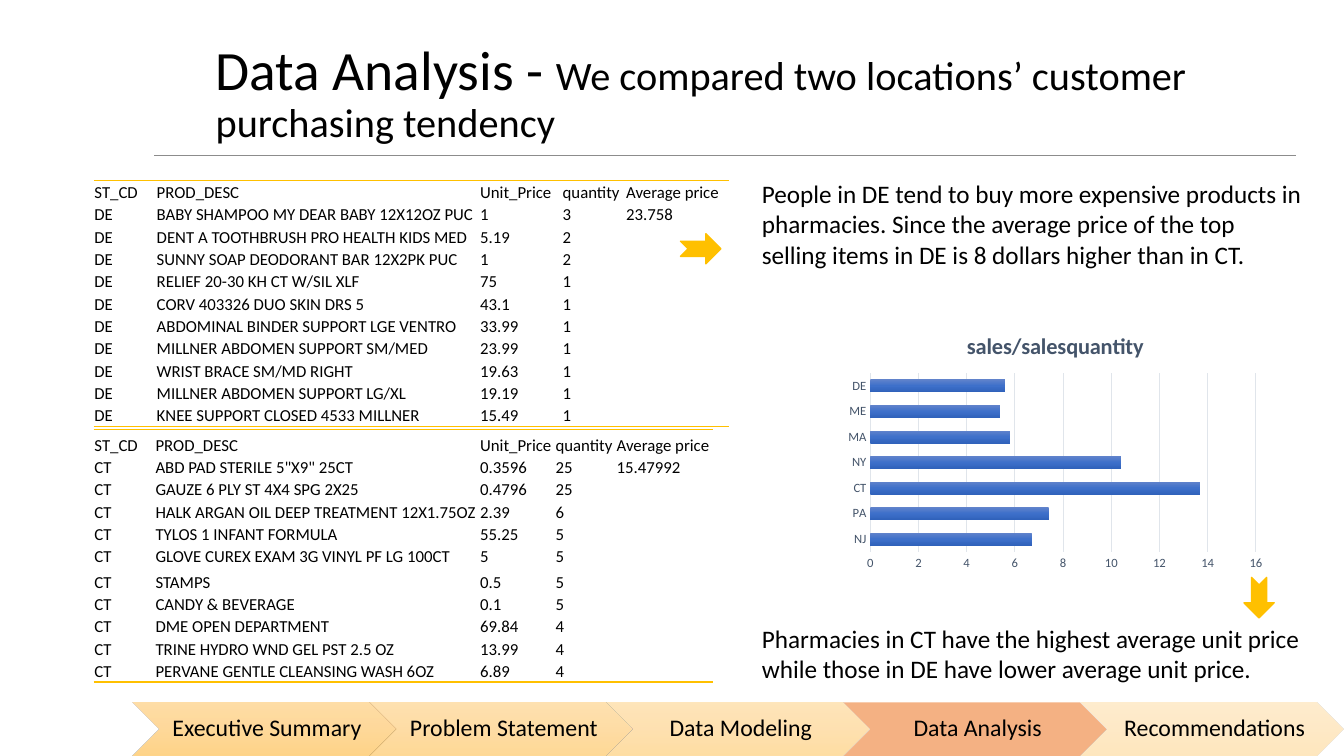
from lxml.etree import SubElement
from pptx import Presentation
from pptx.chart.data import CategoryChartData
from pptx.dml.color import RGBColor
from pptx.enum.chart import XL_CHART_TYPE as ChartType, XL_TICK_MARK as Tick
from pptx.enum.shapes import MSO_CONNECTOR as Connector, MSO_SHAPE as Preset
from pptx.enum.text import MSO_ANCHOR as Anchor, MSO_AUTO_SIZE as AutoSize, PP_ALIGN as Align
from pptx.oxml import parse_xml
from pptx.oxml.ns import nsdecls, qn
from pptx.util import Cm, Pt

FONT = "Calibri"
BLACK = RGBColor(0x00, 0x00, 0x00)
GOLD = RGBColor(0xFF, 0xC0, 0x00)
GREY = RGBColor(0x8C, 0x8C, 0x8C)
SLATE = RGBColor(0x44, 0x54, 0x6A)
PALE = RGBColor(0xE0, 0xE5, 0xEB)
SALMON = RGBColor(0xF4, 0xB1, 0x83)
BLUES = [RGBColor(0x61, 0x83, 0xCB), RGBColor(0x3E, 0x70, 0xCA), RGBColor(0x30, 0x62, 0xBB)]
YELLOWS = [RGBColor(0xFF, 0xDB, 0x9E), RGBColor(0xFF, 0xD5, 0x90), RGBColor(0xFF, 0xD0, 0x7C)]

NO_STYLE = "{2D5ABB26-0587-4C30-8999-92F81FD0307C}"
ROW_HEIGHT = 6.2 / 11
HEADINGS = ["ST_CD", "", "PROD_DESC", "Unit_Price", "quantity", "Average price"]

DE_ITEMS = [
    ("BABY SHAMPOO MY DEAR BABY 12X12OZ PUC", "1", "3"),
    ("DENT A TOOTHBRUSH PRO HEALTH KIDS MED", "5.19", "2"),
    ("SUNNY SOAP DEODORANT BAR 12X2PK PUC", "1", "2"),
    ("RELIEF 20-30 KH CT W/SIL XLF", "75", "1"),
    ("CORV 403326 DUO SKIN DRS 5", "43.1", "1"),
    ("ABDOMINAL BINDER SUPPORT LGE VENTRO", "33.99", "1"),
    ("MILLNER ABDOMEN SUPPORT SM/MED", "23.99", "1"),
    ("WRIST BRACE SM/MD RIGHT", "19.63", "1"),
    ("MILLNER ABDOMEN SUPPORT LG/XL", "19.19", "1"),
    ("KNEE SUPPORT CLOSED 4533 MILLNER", "15.49", "1"),
]
CT_ITEMS = [
    ('ABD PAD STERILE 5"X9" 25CT', "0.3596", "25"),
    ("GAUZE 6 PLY ST 4X4 SPG 2X25", "0.4796", "25"),
    ("HALK ARGAN OIL DEEP TREATMENT 12X1.75OZ", "2.39", "6"),
    ("TYLOS 1 INFANT FORMULA", "55.25", "5"),
    ("GLOVE CUREX EXAM 3G VINYL PF LG 100CT", "5", "5"),
    ("STAMPS", "0.5", "5"),
    ("CANDY & BEVERAGE", "0.1", "5"),
    ("DME OPEN DEPARTMENT", "69.84", "4"),
    ("TRINE HYDRO WND GEL PST 2.5 OZ", "13.99", "4"),
    ("PERVANE GENTLE CLEANSING WASH 6OZ", "6.89", "4"),
]
SALES = {"NJ": 6.7, "PA": 7.4, "CT": 13.7, "NY": 10.4, "MA": 5.8, "ME": 5.4, "DE": 5.6}
# Step name and the opacity of its chevron; the current step is solid
STEPS = [("Executive Summary", 90), ("Problem Statement", 80), ("Data Modeling", 70),
         ("Data Analysis", None), ("Recommendations", 50)]


def apply(target, values):
    for name, value in values.items():
        setattr(target, name, value)


def style_font(font, size, color=BLACK, bold=False):
    apply(font, {"name": FONT, "size": Pt(size), "bold": bold})
    font.color.rgb = color


def add_span(para, text, size):
    span = para.add_run()
    span.text = text
    style_font(span.font, size)


def fill_gradient(owner, fill, colors, opacity=100):
    """Fill from top to bottom with evenly spaced colours."""
    fill.solid()
    solid = next(owner.iter(qn("a:solidFill")))
    gradient = parse_xml(f'<a:gradFill {nsdecls("a")} rotWithShape="1"><a:gsLst/>'
                         '<a:lin ang="5400000" scaled="0"/></a:gradFill>')
    for index, color in enumerate(colors):
        stop = SubElement(gradient[0], qn("a:gs"), pos=str(index * 50000))
        paint = SubElement(stop, qn("a:srgbClr"), val=str(color))
        SubElement(paint, qn("a:alpha"), val=str(opacity * 1000))
    solid.getparent().replace(solid, gradient)


def set_title(page):
    title = page.shapes.title
    apply(title, {"left": Cm(5.18), "top": Cm(1.02), "width": Cm(26.37), "height": Cm(2.72)})
    apply(title.text_frame, {"word_wrap": True, "auto_size": AutoSize.NONE,
                             "vertical_anchor": Anchor.MIDDLE})
    para = title.text_frame.paragraphs[0]
    apply(para, {"alignment": Align.LEFT, "line_spacing": 0.9})
    add_span(para, "Data Analysis - ", 39.6)
    add_span(para, "We compared two locations’ customer purchasing tendency", 28.8)


def add_rule(page):
    rule = page.shapes.add_connector(Connector.STRAIGHT, Cm(3.89), Cm(3.91), Cm(32.66), Cm(3.91))
    rule.line.color.rgb = GREY
    rule.line.width = Pt(0.5)
    SubElement(rule._element.spPr, qn("a:effectLst"))


def add_edge(cell, edge):
    line = parse_xml(f'<a:{edge} {nsdecls("a")} w="12700"><a:solidFill>'
                     f'<a:srgbClr val="{GOLD}"/></a:solidFill></a:{edge}>')
    cell._tc.get_or_add_tcPr().insert(0, line)


def write_cell(cell, text):
    apply(cell, {"margin_left": Cm(0.02), "margin_right": 0, "margin_top": Cm(0.02),
                 "margin_bottom": 0, "vertical_anchor": Anchor.BOTTOM})
    cell.fill.background()
    para = cell.text_frame.paragraphs[0]
    if text:
        add_span(para, text, 12)
    else:
        SubElement(para._p, qn("a:endParaRPr"), sz="1200")


def add_price_table(page, top, state, items, average, widths, tall_rows, join_gap=False):
    """Tabulate a state's items; tall_rows maps row numbers to heights in cm."""
    rows = [HEADINGS] + [[state, "", *item, ""] for item in items]
    rows[1][-1] = average
    heights = [tall_rows.get(index, ROW_HEIGHT) for index in range(len(rows))]
    table = page.shapes.add_table(len(rows), len(HEADINGS), Cm(2.36), Cm(top),
                                  Cm(sum(widths)), Cm(sum(heights))).table
    apply(table, {"first_row": False, "horz_banding": False})
    table._tbl.tblPr.find(qn("a:tableStyleId")).text = NO_STYLE
    for column, width in zip(table.columns, widths):
        column.width = Cm(width)
    if join_gap:
        table.cell(0, 1).merge(table.cell(len(rows) - 1, 1))
    for r, texts in enumerate(rows):
        table.rows[r].height = Cm(heights[r])
        for c, text in enumerate(texts):
            cell = table.cell(r, c)
            write_cell(cell, text)
            if r == len(rows) - 1 or cell.is_merge_origin:
                add_edge(cell, "lnB")
            if r == 0:
                add_edge(cell, "lnT")


def add_remark(page, top, width, height, text):
    box = page.shapes.add_textbox(Cm(18.95), Cm(top), Cm(width), Cm(height))
    box.text_frame.word_wrap = True
    add_span(box.text_frame.paragraphs[0], text, 18)


def add_sales_chart(page):
    data = CategoryChartData()
    data.categories = list(SALES)
    data.add_series("sales/salesquantity", list(SALES.values()))
    chart = page.shapes.add_chart(ChartType.BAR_CLUSTERED, Cm(21.16), Cm(7.98),
                                  Cm(10.87), Cm(6.53), data).chart
    style_font(chart.font, 10)
    apply(chart, {"has_legend": False, "has_title": True})
    heading = chart.chart_title.text_frame
    heading.text = "sales/salesquantity"
    style_font(heading.paragraphs[0].runs[0].font, 16, SLATE, bold=True)

    plot = chart.plots[0]
    apply(plot, {"gap_width": 100, "vary_by_categories": False})
    series = plot.series[0]
    fill_gradient(series._element, series.format.fill, BLUES)

    for axis in (chart.category_axis, chart.value_axis):
        apply(axis, {"major_tick_mark": Tick.NONE, "minor_tick_mark": Tick.NONE})
        style_font(axis.tick_labels.font, 9, SLATE)
    apply(chart.value_axis, {"minimum_scale": 0, "maximum_scale": 16, "major_unit": 2})
    chart.value_axis.format.line.fill.background()
    for line in (chart.category_axis.format.line, chart.value_axis.major_gridlines.format.line):
        line.color.rgb = PALE
        line.width = Pt(0.75)


def add_arrow(page, left, top, rotation):
    arrow = page.shapes.add_shape(Preset.NOTCHED_RIGHT_ARROW, Cm(left), Cm(top), Cm(1.02), Cm(0.76))
    arrow.rotation = rotation
    arrow.shadow.inherit = False
    arrow.fill.solid()
    arrow.fill.fore_color.rgb = arrow.line.color.rgb = GOLD
    arrow.line.width = Pt(1)


def add_step(page, left, text, opacity):
    step = page.shapes.add_shape(Preset.CHEVRON, Cm(left), Cm(17.7), Cm(6.63), Cm(1.35))
    step.shadow.inherit = False
    step.line.fill.background()
    if opacity is None:
        step.fill.solid()
        step.fill.fore_color.rgb = SALMON
    else:
        fill_gradient(step._element, step.fill, YELLOWS, opacity)
    apply(step.text_frame, {"margin_left": Cm(0.18), "margin_right": Cm(0.05), "margin_top": Cm(0.05),
                            "margin_bottom": Cm(0.05), "vertical_anchor": Anchor.MIDDLE})
    para = step.text_frame.paragraphs[0]
    apply(para, {"alignment": Align.CENTER, "line_spacing": 0.9})
    add_span(para, text, 17)


def main():
    deck = Presentation()
    apply(deck, {"slide_width": Cm(33.87), "slide_height": Cm(19.05)})
    page = deck.slides.add_slide(deck.slide_layouts[5])
    add_rule(page)
    set_title(page)
    add_price_table(page, 10.82, "CT", CT_ITEMS, "15.47992",
                    [1.42, 0.08, 8.18, 1.9, 1.54, 2.44], {0: 0.66, 6: 0.64})
    add_price_table(page, 4.55, "DE", DE_ITEMS, "23.758",
                    [1.45, 0.08, 8.15, 2.08, 1.6, 2.62], {}, join_gap=True)
    add_remark(page, 4.37, 14.2, 3.33,
               "People in DE tend to buy more expensive products in pharmacies. Since the average "
               "price of the top selling items in DE is 8 dollars higher than in CT.")
    add_remark(page, 15.57, 14.48, 1.8,
               "Pharmacies in CT have the highest average unit price while those in DE have lower "
               "average unit price.")
    add_sales_chart(page)
    add_arrow(page, 17.15, 5.89, 0)
    add_arrow(page, 31.22, 14.68, 90)
    for index, (text, opacity) in enumerate(STEPS):
        add_step(page, 3.35 + index * 5.97, text, opacity)
    deck.save("out.pptx")


if __name__ == "__main__":
    main()
